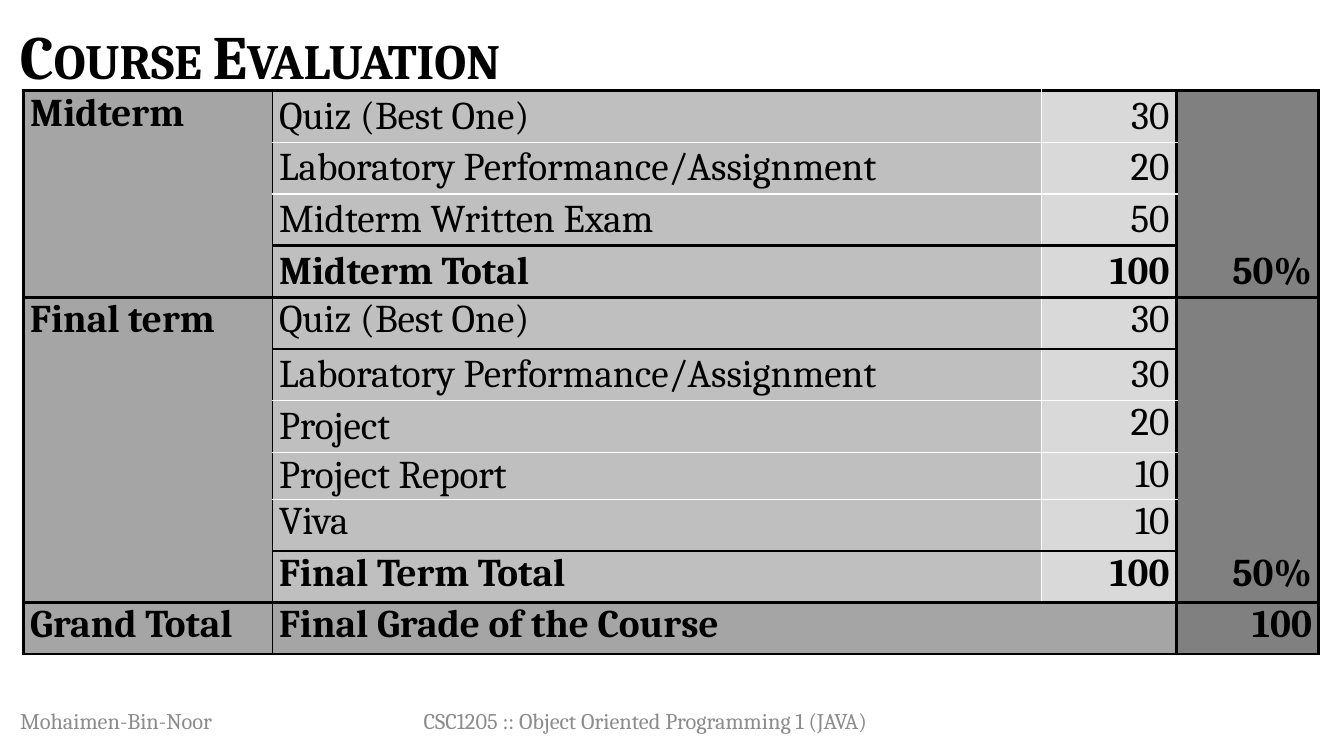
from dataclasses import dataclass

from lxml.etree import SubElement as Sub
from pptx import Presentation
from pptx.dml.color import RGBColor as Rgb
from pptx.enum.text import MSO_ANCHOR as Anchor, PP_ALIGN as Align
from pptx.oxml.ns import qn
from pptx.util import Pt

PX = 914400 // 160  # 160 px to the inch


@dataclass(frozen=True)
class Theme:
    font: str = "Cambria"
    ink: str = "000000"
    line: str = "FFFFFF"
    foot: str = "8C8C8C"
    term: str = "A5A5A5"
    item: str = "BFBFBF"
    mark: str = "D9D9D9"
    share: str = "808080"
    head_pt: int = 44
    body_pt: int = 28
    foot_pt: int = 16
    thick: float = 2.25
    thin: float = 1


THEME = Theme()
MID, TOP = Anchor.MIDDLE, Anchor.TOP
COLS = (395, 1221, 214, 226)
ROW, SHORT = 82, 72
# term, item, mark, share, item anchor, mark anchor
ROWS = [
    ("Midterm", "Quiz (Best One)", "30", "", MID, MID),
    ("", "Laboratory Performance/Assignment", "20", "", MID, MID),
    ("", "Midterm Written Exam", "50", "", MID, MID),
    ("", "Midterm Total", "100", "50%", MID, MID),
    ("Final term", "Quiz (Best One)", "30", "", TOP, TOP),
    ("", "Laboratory Performance/Assignment", "30", "", MID, MID),
    ("", "Project", "20", "", MID, TOP),
    ("", "Project Report", "10", "", MID, TOP),
    ("", "Viva", "10", "", TOP, TOP),
    ("", "Final Term Total", "100", "50%", TOP, TOP),
    ("Grand Total", "Final Grade of the Course", "", "100", TOP, TOP),
]
LAST = len(ROWS) - 1
TERMS = {0, 4, LAST, LAST + 1}  # edges across the whole table
RULES = TERMS | {3, 5, 9}  # black edges across items and marks
TOTALS = {3, 9, LAST}


def put(obj, form):
    for key, value in form.items():
        setattr(obj, key, value)


def write(frame, text, size, color, bold=False, align=Align.LEFT):
    para = frame.paragraphs[0]
    para.alignment = align
    run = para.add_run()
    run.text = text
    put(run.font, {"name": THEME.font, "size": Pt(size), "bold": bold})
    run.font.color.rgb = Rgb.from_string(color)
    return para, run


def label(slide, box, *words, **form):
    frame = slide.shapes.add_textbox(*(n * PX for n in box)).text_frame
    put(frame, {"word_wrap": True, "vertical_anchor": MID})
    return write(frame, *words, **form)


def title(slide, box):
    para, run = label(slide, box, "Course Evaluation", THEME.head_pt,
                      THEME.ink, bold=True)
    para.line_spacing = 0.9
    run.font._element.set("cap", "small")


def footer(slide, box):
    left, top, wide, high = box
    form = (THEME.foot_pt, THEME.foot)
    label(slide, (left, top, 458, high), "Mohaimen-Bin-Noor", *form)
    label(slide, (left + 606, top, wide - 606, high),
          "CSC1205 :: Object Oriented Programming 1 (JAVA)", *form,
          align=Align.CENTER)


def level(edge, col):
    """Give colour and width of a horizontal edge, or None."""
    if edge in (TERMS if col in (0, 3) else RULES):
        return THEME.ink, THEME.thick
    return None if col in (0, 3) else (THEME.line, THEME.thin)


def upright(edge, row):
    """Give colour and width of a vertical edge, or None."""
    if edge == 2:
        return None if row == LAST else (THEME.line, THEME.thin)
    return THEME.ink, THEME.thin if edge == 1 else THEME.thick


def border(cell, row, col):
    props = cell._tc.get_or_add_tcPr()
    sides = {"L": upright(col, row), "R": upright(col + 1, row),
             "T": level(row, col), "B": level(row + 1, col)}
    for side, style in sides.items():
        line = Sub(props, qn(f"a:ln{side}"))
        if style:
            color, width = style
            line.set("w", str(Pt(width)))
            Sub(Sub(line, qn("a:solidFill")), qn("a:srgbClr")).set("val", color)
        else:
            Sub(line, qn("a:noFill"))


def grades(slide, box):
    shape = slide.shapes.add_table(len(ROWS), len(COLS), *(n * PX for n in box))
    table = shape.table
    put(table, {"first_row": False, "horz_banding": False})
    for col, wide in zip(table.columns, COLS):
        col.width = wide * PX
    for r, (*texts, left, right) in enumerate(ROWS):
        table.rows[r].height = (SHORT if r == 7 else ROW) * PX
        fills = [THEME.term, THEME.item, THEME.mark, THEME.share]
        if r == LAST:
            fills[1:3] = [THEME.term] * 2
        for c, (text, fill) in enumerate(zip(texts, fills)):
            cell = table.cell(r, c)
            border(cell, r, c)
            cell.fill.solid()
            cell.fill.fore_color.rgb = Rgb.from_string(fill)
            put(cell, {"margin_left": 11 * PX, "margin_right": 11 * PX,
                       "margin_top": 0, "margin_bottom": 0,
                       "vertical_anchor": (TOP, left, right, right)[c]})
            if text:
                write(cell.text_frame, text, THEME.body_pt, THEME.ink,
                      bold=c in (0, 3) or r in TOTALS,
                      align=Align.RIGHT if c > 1 else Align.LEFT)
    table.cell(LAST, 1).merge(table.cell(LAST, 2))


def main():
    deck = Presentation()
    put(deck, {"slide_width": 2133 * PX, "slide_height": 1200 * PX})
    slide = deck.slides.add_slide(deck.slide_layouts[6])
    title(slide, (16, 18, 2096, 152))
    grades(slide, (37, 144, sum(COLS), LAST * ROW + SHORT))
    footer(slide, (16, 1112, 1411, 64))
    deck.save("out.pptx")


if __name__ == "__main__":
    main()
